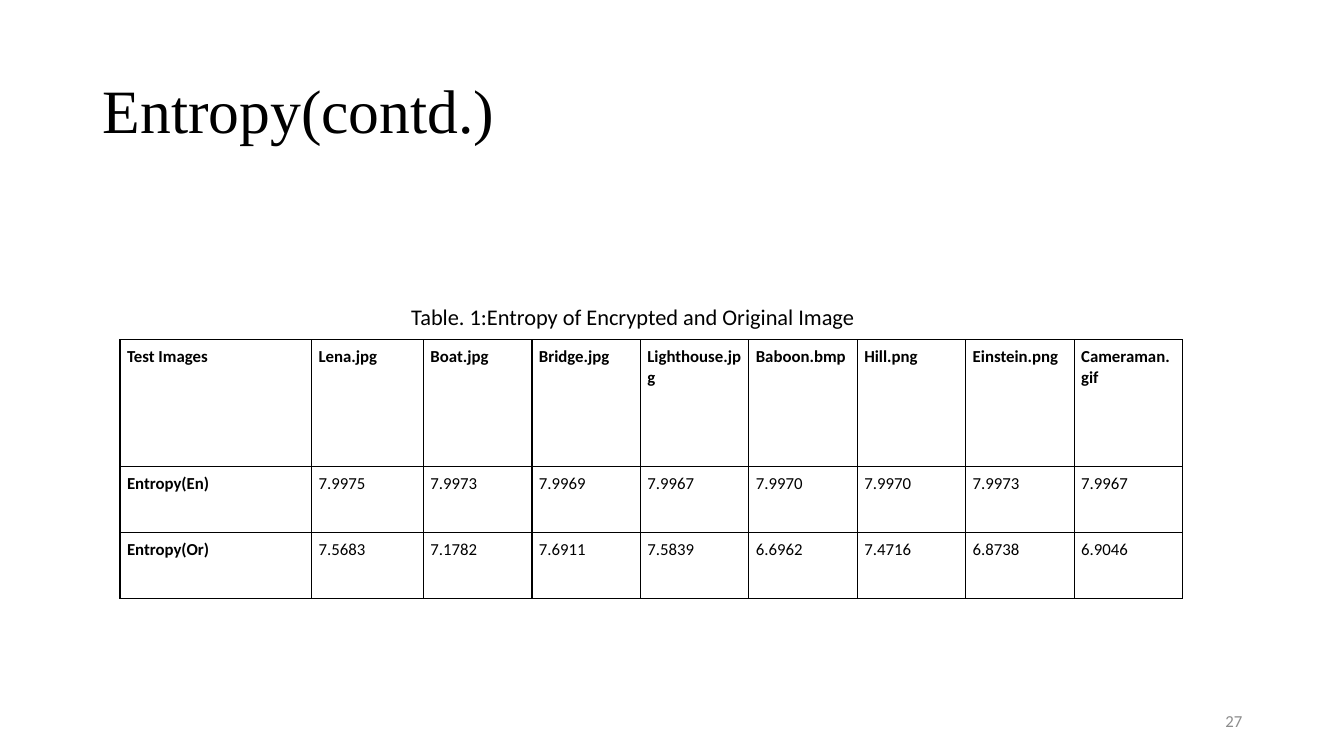
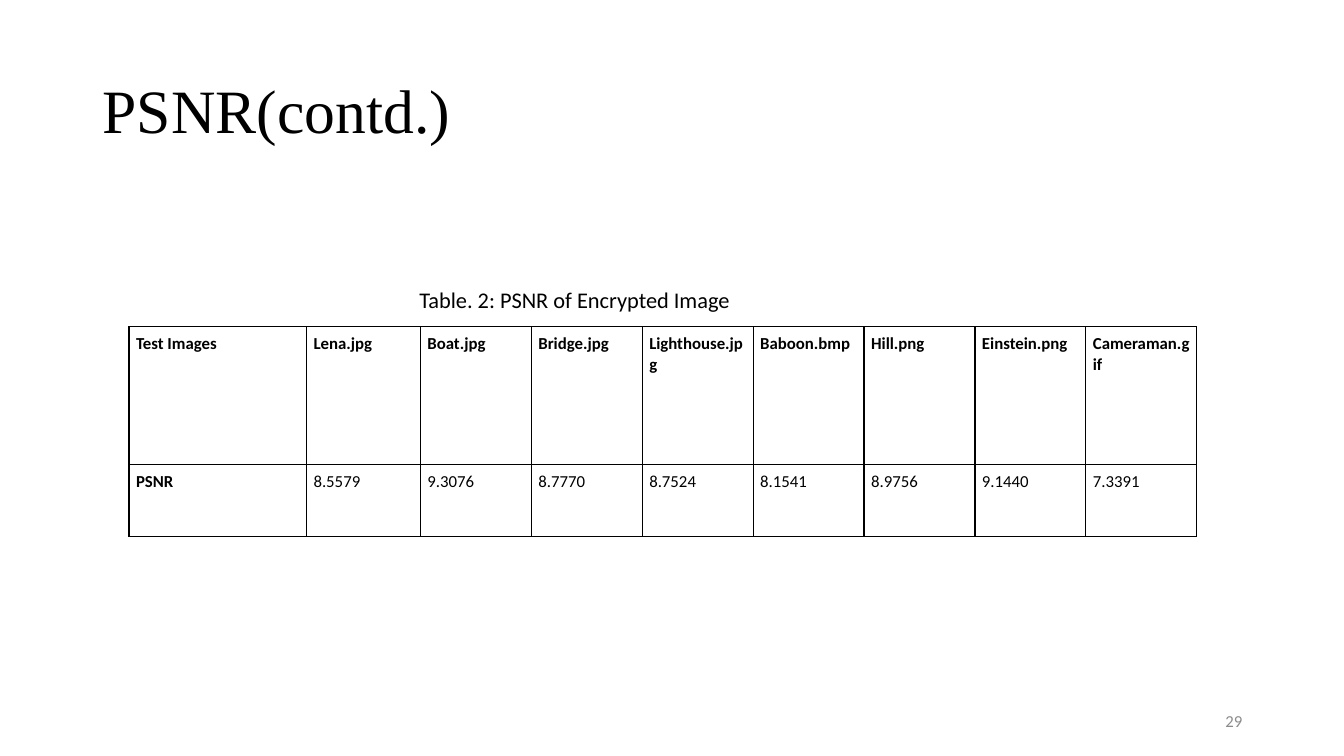
from dataclasses import dataclass

from lxml import etree
from pptx import Presentation
from pptx.dml.color import RGBColor
from pptx.enum.text import MSO_ANCHOR, PP_ALIGN
from pptx.oxml.ns import qn
from pptx.util import Inches, Pt

LEFT, RIGHT, JUSTIFY = PP_ALIGN.LEFT, PP_ALIGN.RIGHT, PP_ALIGN.JUSTIFY
TOP, MIDDLE = MSO_ANCHOR.TOP, MSO_ANCHOR.MIDDLE
BLACK, GRAY = "000000", "8C8C8C"
TITLE_FONT, BODY_FONT = "Times New Roman", "Calibri"
CELL_MARGIN = 0.07
BORDER_PT = 1
HEADER = ("Test Images", "Lena.jpg", "Boat.jpg", "Bridge.jpg", "Lighthouse.jpg",
          "Baboon.bmp", "Hill.png", "Einstein.png", "Cameraman.gif")


@dataclass(frozen=True)
class Box:
    x: float
    y: float
    w: float
    h: float


@dataclass(frozen=True)
class ResultSlide:
    title: str
    caption: str
    caption_box: Box
    table_box: Box
    first_cols: tuple[float, float]
    header_h: float
    rows: tuple[tuple[str, ...], ...]
    number: int


TITLE_BOX = Box(0.92, 0.4, 11.5, 1.45)
NUMBER_BOX = Box(9.42, 6.95, 3, 0.4)

SLIDES = (
    ResultSlide(
        "Entropy(contd.)", "Table. 1:Entropy of Encrypted and Original Image",
        Box(3.98, 2.96, 5.38, 0.37), Box(1.19, 3.37, 10.54, 2.57),
        (1.9, 1.11), 1.26,
        (("Entropy(En)", "7.9975", "7.9973", "7.9969", "7.9967",
          "7.9970", "7.9970", "7.9973", "7.9967"),
         ("Entropy(Or)", "7.5683", "7.1782", "7.6911", "7.5839",
          "6.6962", "7.4716", "6.8738", "6.9046")),
        27),
    ResultSlide(
        "PSNR(contd.)", "Table. 2: PSNR of Encrypted Image",
        Box(4.06, 2.79, 5.38, 0.37), Box(1.28, 3.24, 10.59, 2.08),
        (1.76, 1.13), 1.37,
        (("PSNR", "8.5579", "9.3076", "8.7770", "8.7524",
          "8.1541", "8.9756", "9.1440", "7.3391"),),
        29),
)


def rgb(color: str) -> RGBColor:
    return RGBColor.from_string(color)


def write(tf, text: str, *, size: float, font: str = BODY_FONT, color: str = BLACK,
          bold: bool = False, align=LEFT, spacing: float = 1.0) -> None:
    p = tf.paragraphs[0]
    p.alignment = align
    p.line_spacing = spacing
    r = p.add_run()
    r.text = text
    r.font.size = Pt(size)
    r.font.name = font
    r.font.bold = bold
    r.font.color.rgb = rgb(color)


def add_text(s, box: Box, text: str, *, anchor=TOP, **style) -> None:
    sp = s.shapes.add_textbox(Inches(box.x), Inches(box.y), Inches(box.w), Inches(box.h))
    tf = sp.text_frame
    tf.word_wrap = True
    tf.vertical_anchor = anchor
    write(tf, text, **style)


def add_borders(cell) -> None:
    tc_pr = cell._tc.get_or_add_tcPr()
    for side in ("a:lnL", "a:lnR", "a:lnT", "a:lnB"):
        ln = etree.SubElement(tc_pr, qn(side), w=str(Pt(BORDER_PT)))
        fill = etree.SubElement(ln, qn("a:solidFill"))
        etree.SubElement(fill, qn("a:srgbClr"), val=BLACK)


def add_results(s, slide: ResultSlide) -> None:
    box = slide.table_box
    data = (HEADER, *slide.rows)
    table = s.shapes.add_table(len(data), len(HEADER), Inches(box.x), Inches(box.y),
                               Inches(box.w), Inches(box.h)).table
    table.first_row = table.horz_banding = False

    other_cols = len(HEADER) - len(slide.first_cols)
    col_w = (box.w - sum(slide.first_cols)) / other_cols
    for col, width in zip(table.columns, (*slide.first_cols, *[col_w] * other_cols)):
        col.width = Inches(width)
    row_h = (box.h - slide.header_h) / len(slide.rows)
    for row, height in zip(table.rows, (slide.header_h, *[row_h] * len(slide.rows))):
        row.height = Inches(height)

    for i, values in enumerate(data):
        for j, value in enumerate(values):
            cell = table.cell(i, j)
            cell.margin_left = cell.margin_right = Inches(CELL_MARGIN)
            cell.margin_top = cell.margin_bottom = Inches(CELL_MARGIN)
            add_borders(cell)
            cell.fill.background()
            write(cell.text_frame, value, size=12, bold=i == 0 or j == 0,
                  align=JUSTIFY if (i, j) == (0, 1) else LEFT)


def add_slide(prs, slide: ResultSlide) -> None:
    s = prs.slides.add_slide(prs.slide_layouts[6])
    add_text(s, TITLE_BOX, slide.title, anchor=MIDDLE, size=44, font=TITLE_FONT, spacing=0.9)
    add_results(s, slide)
    add_text(s, slide.caption_box, slide.caption, size=16)
    add_text(s, NUMBER_BOX, str(slide.number), anchor=MIDDLE, size=12, color=GRAY, align=RIGHT)


def main() -> None:
    prs = Presentation()
    prs.slide_width, prs.slide_height = Inches(13.33), Inches(7.5)
    for slide in SLIDES:
        add_slide(prs, slide)
    prs.save("out.pptx")


if __name__ == "__main__":
    main()
